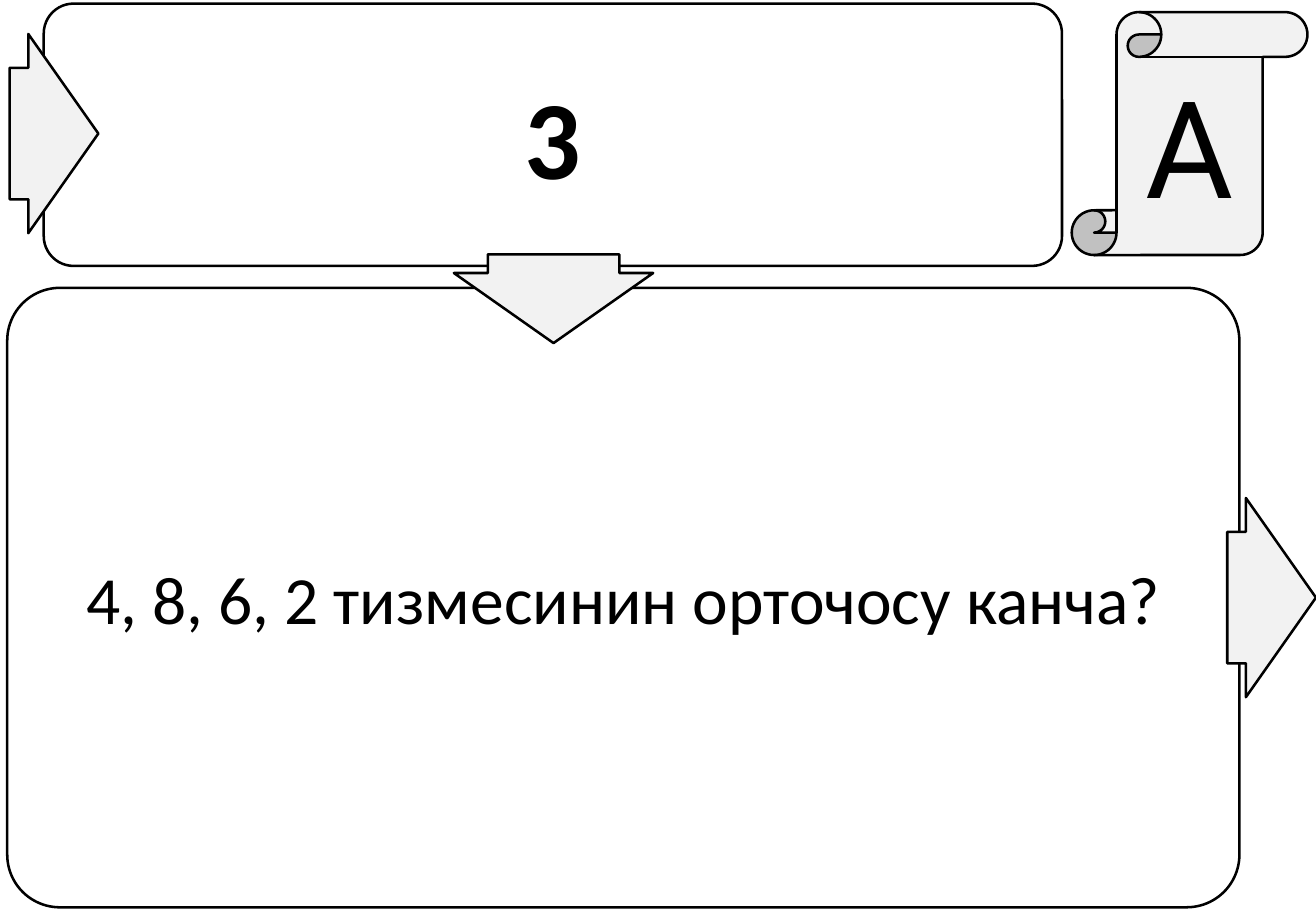
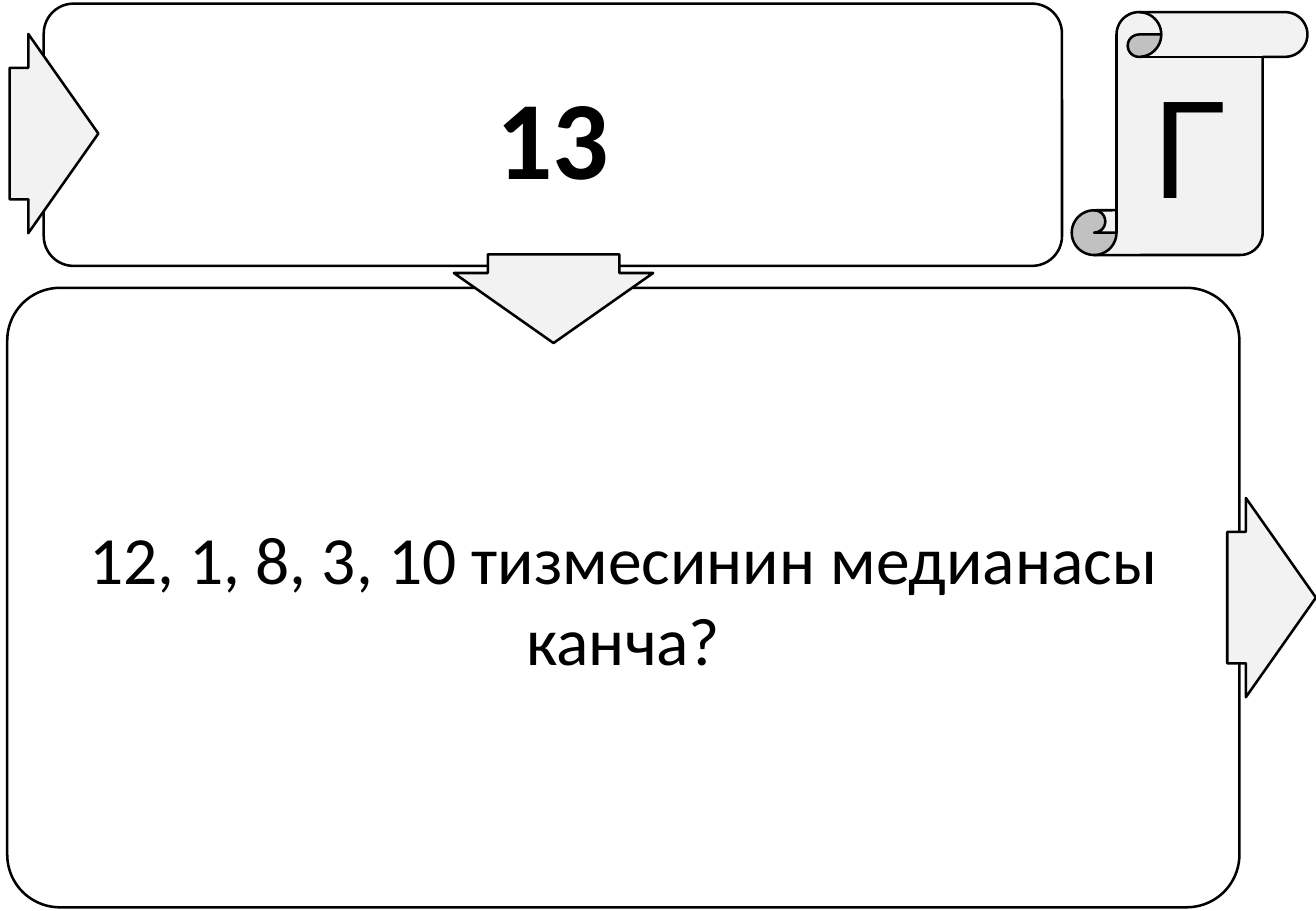
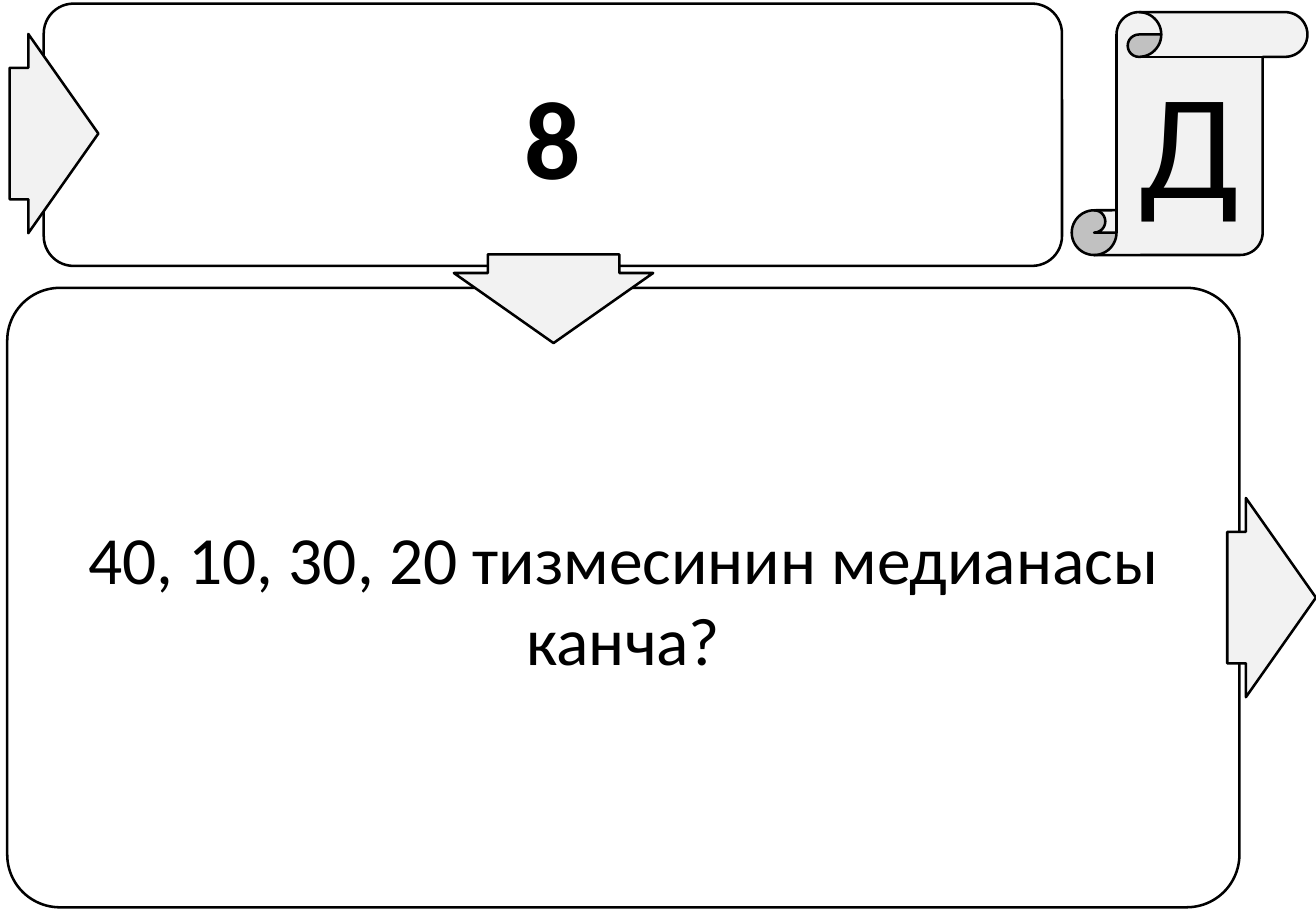
from pptx import Presentation
from pptx.dml.color import RGBColor
from pptx.enum.shapes import MSO_SHAPE
from pptx.enum.text import MSO_ANCHOR, PP_ALIGN
from pptx.util import Emu, Pt

ROUND_RECT = MSO_SHAPE.ROUNDED_RECTANGLE
RIGHT_ARROW = MSO_SHAPE.RIGHT_ARROW
SCROLL = MSO_SHAPE.VERTICAL_SCROLL
MIDDLE = MSO_ANCHOR.MIDDLE
CENTER = PP_ALIGN.CENTER

PX = 9144
SLIDE_W, SLIDE_H = 1083, 750
COLORS = {"ink": "000000", "accent": "F2F2F2"}
BODY_FONT, LETTER_FONT = "Calibri", "Roboto"
ARROW_W, ARROW_H = 73, 164
QUESTION_BOX = (6, 237, 1014, 510)
ANSWER_BOX = (36, 3, 838, 216)
LETTER_BOX = (882, 10, 194, 200)

CARDS = [
    ("3", "А", "4, 8, 6, 2 тизмесинин орточосу канча?"),
    ("13", "Г", "12, 1, 8, 3, 10 тизмесинин медианасы канча?"),
    ("8", "Д", "40, 10, 30, 20 тизмесинин медианасы канча?"),
]


def px(n):
    """Turn px into EMU."""
    return Emu(n * PX)


def rgb(name):
    """Look up a named colour."""
    return RGBColor.from_string(COLORS[name])


def add_outlined(s, kind, box, adjustments, fill=None):
    """Add a preset shape with the shared black outline."""
    sp = s.shapes.add_shape(kind, *map(px, box))
    sp.shadow.inherit = False
    for i, value in enumerate(adjustments):
        sp.adjustments[i] = value
    if fill:
        sp.fill.solid()
        sp.fill.fore_color.rgb = rgb(fill)
    else:
        sp.fill.background()
    sp.line.color.rgb = rgb("ink")
    sp.line.width = Pt(1.5)
    return sp


def set_text(sp, text, size, font=BODY_FONT, bold=False):
    """Write one centred paragraph into a shape."""
    tf = sp.text_frame
    tf.word_wrap = True
    tf.vertical_anchor = MIDDLE
    tf.margin_left = tf.margin_right = px(11)
    tf.margin_top = tf.margin_bottom = px(5)
    p = tf.paragraphs[0]
    p.text = text
    p.alignment = CENTER
    p.font.name = font
    p.font.size = Pt(size)
    p.font.bold = bold
    p.font.color.rgb = rgb("ink")


def add_arrow(s, left, top, rotation=0):
    """Add a block arrow of the shared size."""
    box = (left, top, ARROW_W, ARROW_H)
    sp = add_outlined(s, RIGHT_ARROW, box, (0.66, 0.79), "accent")
    sp.rotation = rotation


def add_question(s, box, text):
    """Add the question panel with an arrow leaving on the right."""
    x, y, w, h = box
    set_text(add_outlined(s, ROUND_RECT, box, (0.085,)), text, 40)
    add_arrow(s, x + w - 10, y + (h - ARROW_H) // 2)


def add_answer(s, box, text):
    """Add the answer panel with arrows entering left and leaving below."""
    x, y, w, h = box
    set_text(add_outlined(s, ROUND_RECT, box, (0.114,)), text, 66, bold=True)
    add_arrow(s, x + w // 2 - ARROW_W // 2, y + h - 55, 90)
    add_arrow(s, x - 28, y + 25)


def add_letter(s, box, text):
    """Add the scroll that carries the card letter."""
    sp = add_outlined(s, SCROLL, box, (0.19,), "accent")
    set_text(sp, text, 80, LETTER_FONT)


def add_card(prs, answer, letter, question):
    """Add one card slide."""
    s = prs.slides.add_slide(prs.slide_layouts[6])
    add_question(s, QUESTION_BOX, question)
    add_answer(s, ANSWER_BOX, answer)
    add_letter(s, LETTER_BOX, letter)


def main():
    """Build and save the deck."""
    prs = Presentation()
    prs.slide_width, prs.slide_height = px(SLIDE_W), px(SLIDE_H)
    for card in CARDS:
        add_card(prs, *card)
    prs.save("out.pptx")


if __name__ == "__main__":
    main()
